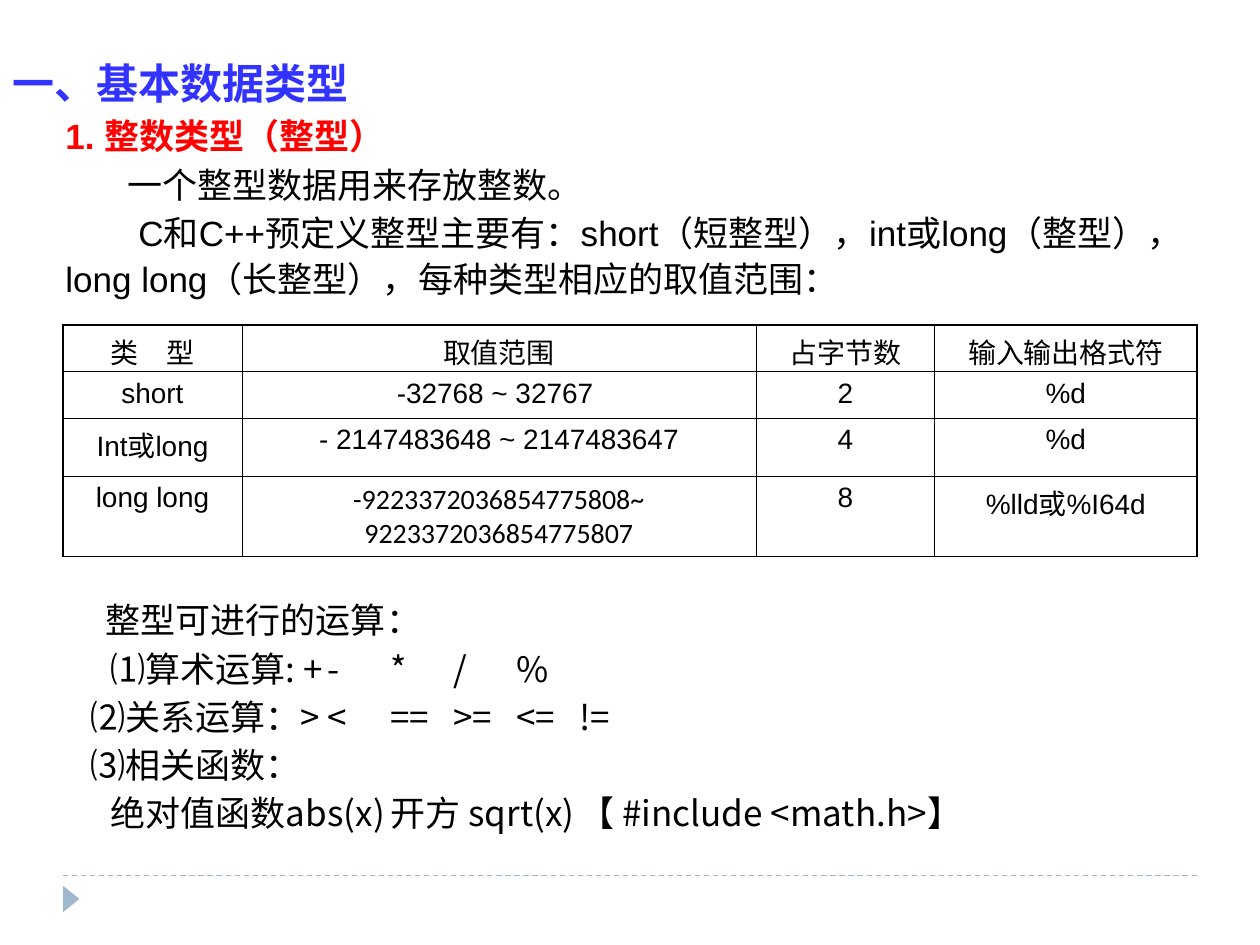
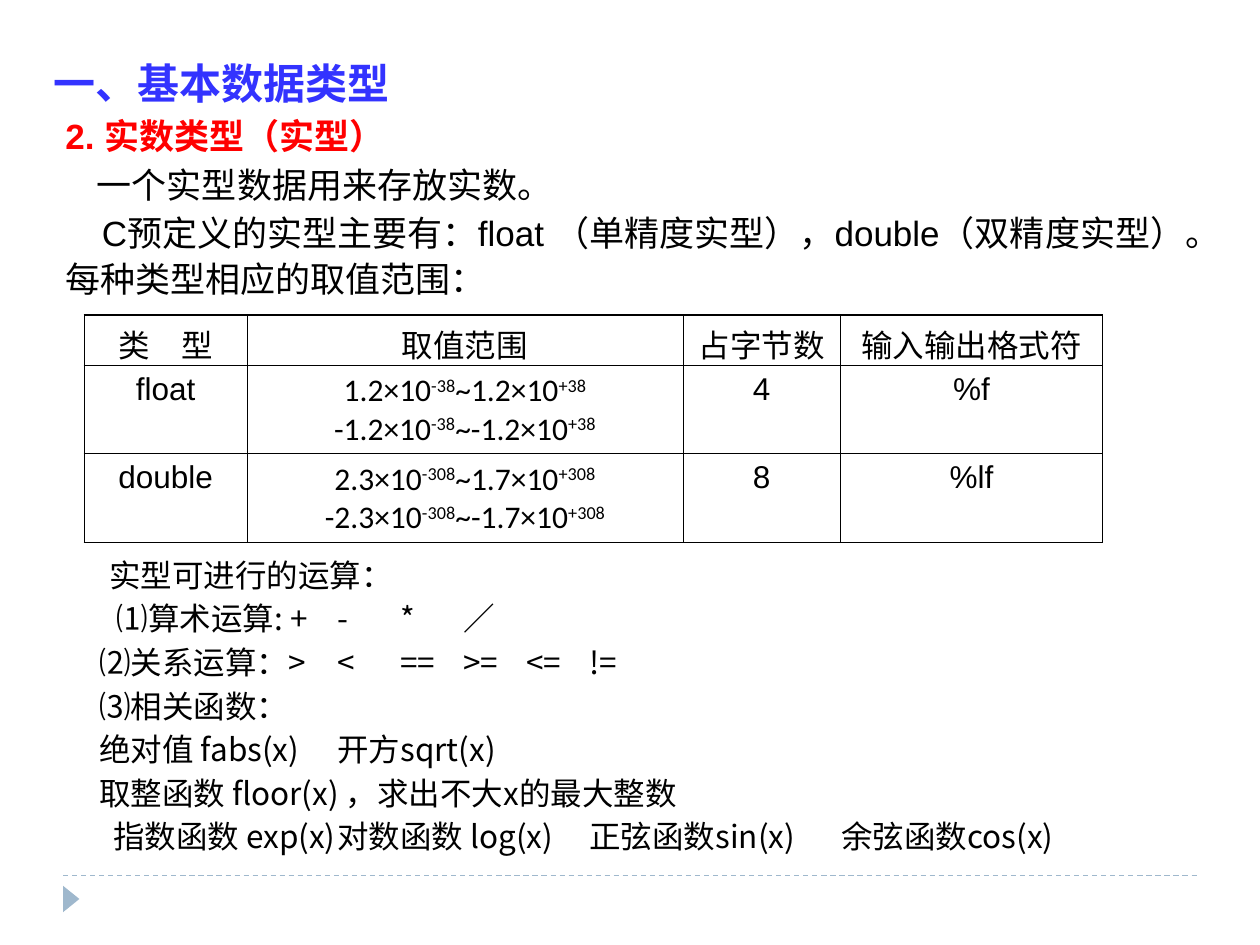
from lxml.etree import SubElement
from pptx import Presentation
from pptx.dml.color import RGBColor
from pptx.enum.dml import MSO_LINE
from pptx.enum.shapes import MSO_CONNECTOR, MSO_SHAPE
from pptx.enum.text import PP_ALIGN
from pptx.oxml.ns import qn
from pptx.util import Inches, Pt

BLACK = RGBColor(0x00, 0x00, 0x00)
RED = RGBColor(0xFF, 0x00, 0x00)
BLUE = RGBColor(0x33, 0x33, 0xFF)
STEEL = RGBColor(0x9F, 0xB8, 0xCD)
LATIN, NUMERIC, CJK = "Arial", "Calibri", "Noto Sans CJK SC"

TITLE = "一、基本数据类型"
COLUMN_HEADS = ["类　型", "取值范围", "占字节数", "输入输出格式符"]

# Text formats shared by both slides
TITLE_FONT = {"name": LATIN, "size": Pt(24), "bold": True}
HEADING_FONT = {"name": LATIN, "size": Pt(20), "bold": True}
INTRO_FONT = {"name": LATIN, "size": Pt(20), "bold": False}
TITLE_SPACING = {"line_spacing": 1.2, "space_after": Pt(1.5)}
BODY_SPACING = {"line_spacing": 1.1, "space_after": Pt(1.2)}

# A line is (first-line indent, text, tab stops); ^ marks superscript in ranges
SLIDES = [
    {
        "title_box": (0, 0.33, 2.92, 0.58),
        "heading": "1. 整数类型（整型）",
        "intro": [
            (0.49, "一个整型数据用来存放整数。", []),
            (0.58, "C和C++预定义整型主要有：short（短整型），int或long（整型），"
                   "long long（长整型），每种类型相应的取值范围：", []),
        ],
        "table": {
            "corner": (0.5, 2.58),
            "size": 16,
            "widths": [1.42, 4.08, 1.42, 2.08],
            "heights": [0.37, 0.37, 0.46, 0.64],
            "rows": [
                ["short", ["-32768 ~ 32767 "], "2", "%d"],
                ["Int或long", ["- 2147483648 ~ 2147483647"], "4", "%d"],
                ["long long", ["-9223372036854775808~", "9223372036854775807"],
                 "8", "%lld或%I64d"],
            ],
        },
        "operations_box": (0.5, 4.67, 8.74, 2),
        "operations_size": 20,
        "operations": [
            (0.24, "整型可进行的运算：", []),
            (0.28, "⑴算术运算: +\t-\t*\t/\t%", [2.15, 2.37, 2.62, 2.86]),
            (0.12, "⑵关系运算：>\t<\t==\t>=\t<=\t!=",
             [2.13, 2.41, 2.84, 3.27, 3.71]),
            (0.12, "⑶相关函数：", []),
            (0.28, "绝对值函数abs(x)\t开方 sqrt(x)\t【 #include <math.h>】",
             [2.7, 4.5]),
        ],
    },
    {
        "title_box": (0.33, 0.33, 3.08, 0.58),
        "heading": "2. 实数类型（实型）",
        "intro": [
            (0.25, "一个实型数据用来存放实数。", []),
            (0.29, "C预定义的实型主要有：float （单精度实型），double（双精度实型）。"
                   "每种类型相应的取值范围：", []),
        ],
        "table": {
            "corner": (0.67, 2.5),
            "size": 18,
            "widths": [1.29, 3.46, 1.25, 2.08],
            "heights": [0.4, 0.7, 0.7],
            "rows": [
                ["float", ["1.2×10^-38^~1.2×10^+38", "-1.2×10^-38^~-1.2×10^+38"],
                 "4", "%f"],
                ["double", ["2.3×10^-308^~1.7×10^+308",
                            "-2.3×10^-308^~-1.7×10^+308"], "8", "%lf"],
            ],
        },
        "operations_box": (0.58, 4.33, 9, 2.89),
        "operations_size": 18,
        "operations": [
            (0.19, "实型可进行的运算：", []),
            (0.25, "⑴算术运算: +\t-\t*\t／", [1.94, 2.13, 2.42]),
            (0.11, "⑵关系运算：>\t<\t==\t>=\t<=\t!=",
             [1.92, 2.17, 2.56, 2.95, 3.34]),
            (0.11, "⑶相关函数：", []),
            (0.11, "绝对值 fabs(x)\t开方sqrt(x)", [2.09]),
            (0.11, "取整函数 floor(x) ，求出不大x的最大整数", []),
            (0.22, "指数函数 exp(x)\t对数函数 log(x)\t正弦函数sin(x)\t余弦函数cos(x)",
             [2.4, 4.76, 6.61]),
        ],
    },
]


def apply(target, formats):
    for attribute, value in formats.items():
        setattr(target, attribute, value)


def add_run(paragraph, text, font, color=BLACK):
    run = paragraph.add_run()
    run.text = text
    apply(run.font, font)
    run.font.color.rgb = color
    return run


def next_paragraph(frame):
    first = frame.paragraphs[0]
    return frame.add_paragraph() if first.runs else first


def add_line(frame, line, font, spacing, color=BLACK):
    indent, text, stops = line
    paragraph = next_paragraph(frame)
    apply(paragraph, spacing)
    add_run(paragraph, text, font, color)
    properties = paragraph._p.get_or_add_pPr()
    properties.set("marL", "0")
    properties.set("indent", str(Inches(indent)))
    if stops:
        tabs = SubElement(properties, qn("a:tabLst"))
        for stop in stops:
            SubElement(tabs, qn("a:tab"), pos=str(Inches(stop)), algn="l")


def add_frame(slide, box):
    frame = slide.shapes.add_textbox(*map(Inches, box)).text_frame
    frame.word_wrap = True
    return frame


def add_footer(slide):
    rule = slide.shapes.add_connector(
        MSO_CONNECTOR.STRAIGHT, *map(Inches, (0.5, 6.95, 9.5, 6.95)))
    rule.line.color.rgb = STEEL
    apply(rule.line, {"width": Pt(0.75), "dash_style": MSO_LINE.DASH})
    SubElement(rule._element.spPr, qn("a:effectLst"))

    marker = slide.shapes.add_shape(
        MSO_SHAPE.ISOSCELES_TRIANGLE, *map(Inches, (0.46, 7.07, 0.21, 0.13)))
    marker.rotation = 90
    marker.shadow.inherit = False
    marker.fill.solid()
    marker.fill.fore_color.rgb = STEEL
    marker.line.fill.background()


def set_borders(cell, outer_sides):
    properties = cell._tc.get_or_add_tcPr()
    for side in "LRTB":
        width = Pt(1.08 if side in outer_sides else 0.45)
        border = SubElement(properties, qn("a:ln" + side), w=str(width))
        fill = SubElement(border, qn("a:solidFill"))
        SubElement(fill, qn("a:srgbClr"), val=str(BLACK))
    cell.fill.background()


def fill_cell(cell, content, size):
    lines = content if isinstance(content, list) else [content]
    several = len(lines) > 1
    font = {"name": NUMERIC if several else LATIN, "size": Pt(size)}
    for text in lines:
        paragraph = next_paragraph(cell.text_frame)
        apply(paragraph, {"alignment": PP_ALIGN.CENTER,
                          "space_before": Pt(0 if several else size / 4)})
        for index, part in enumerate(text.split("^")):
            run = add_run(paragraph, part, font)
            if index % 2:
                run.font._element.set("baseline", "30000")


def add_type_table(slide, content):
    widths, heights = content["widths"], content["heights"]
    box = (*content["corner"], sum(widths), sum(heights))
    table = slide.shapes.add_table(
        len(heights), len(widths), *map(Inches, box)).table
    apply(table, {"first_row": False, "horz_banding": False})
    for column, width in zip(table.columns, widths):
        column.width = Inches(width)
    for row, height in zip(table.rows, heights):
        row.height = Inches(height)
    last = len(widths) - 1
    for r, row in enumerate([COLUMN_HEADS] + content["rows"]):
        for c, value in enumerate(row):
            cell = table.cell(r, c)
            fill_cell(cell, value, content["size"])
            outer = {"T": r == 0, "L": c == 0, "R": c == last}
            set_borders(cell, [side for side in outer if outer[side]])


def build_slide(deck, content):
    slide = deck.slides.add_slide(deck.slide_layouts[6])
    add_footer(slide)

    # Heading and introduction
    intro = add_frame(slide, (0.42, 0.83, 9.58, 1.6))
    add_line(intro, (0, content["heading"], []), HEADING_FONT, BODY_SPACING, RED)
    for line in content["intro"]:
        add_line(intro, line, INTRO_FONT, BODY_SPACING)

    add_type_table(slide, content["table"])

    # Slide title
    title = add_frame(slide, content["title_box"])
    add_line(title, (0, TITLE, []), TITLE_FONT, TITLE_SPACING, BLUE)

    # Operations and functions
    operations = add_frame(slide, content["operations_box"])
    font = {"name": CJK, "size": Pt(content["operations_size"])}
    for line in content["operations"]:
        add_line(operations, line, font, BODY_SPACING)


def main():
    deck = Presentation()
    deck.slide_width, deck.slide_height = Inches(10), Inches(7.5)
    for content in SLIDES:
        build_slide(deck, content)
    deck.save("out.pptx")


if __name__ == "__main__":
    main()
